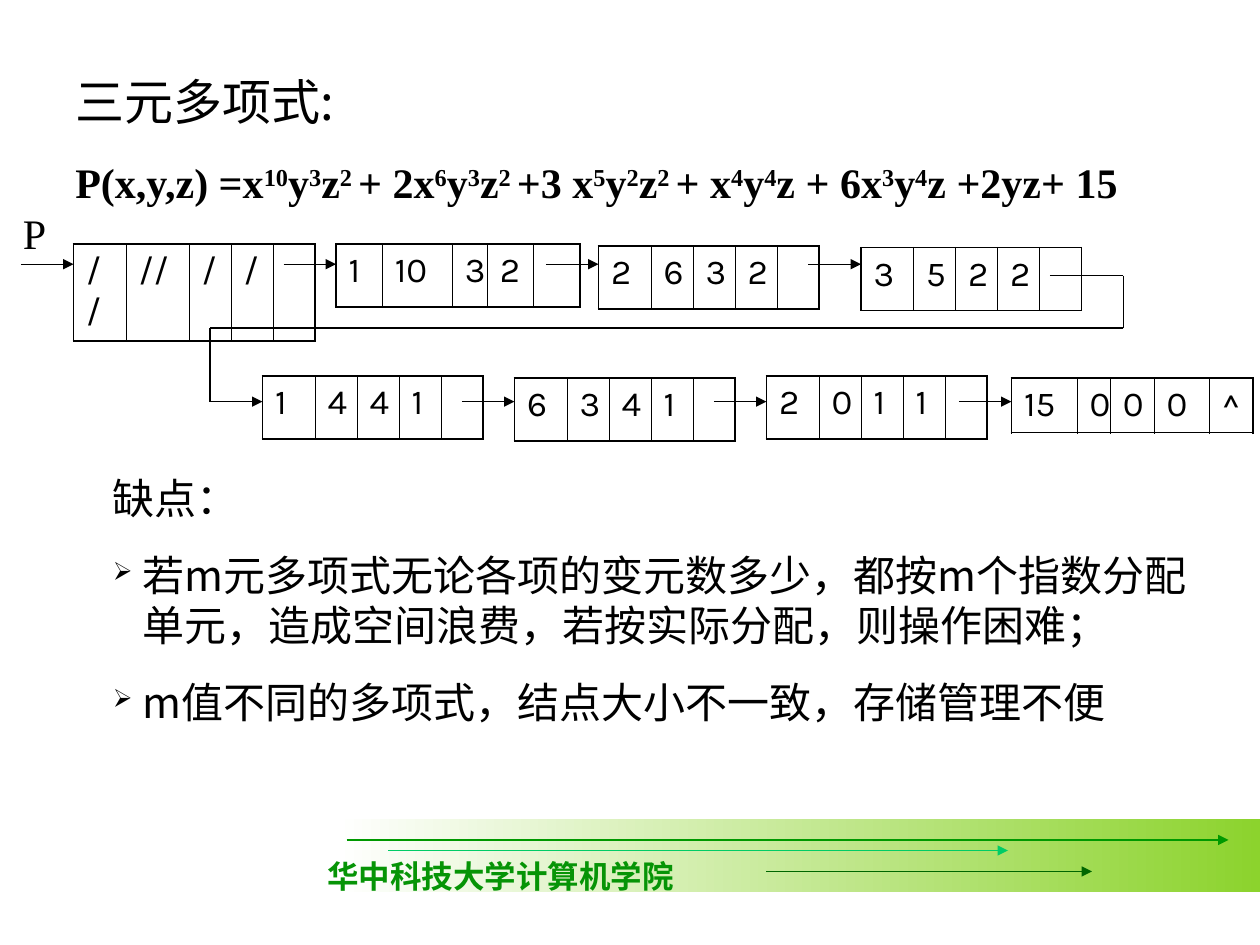
"""Build the slide on linked storage of a polynomial in three variables."""
from itertools import pairwise

from lxml.etree import SubElement
from pptx import Presentation
from pptx.dml.color import RGBColor
from pptx.enum.shapes import MSO_CONNECTOR, MSO_SHAPE
from pptx.oxml.ns import qn
from pptx.util import Pt

BLACK = "000000"
CJK = "Noto Sans CJK SC"
SERIF = "Times New Roman"

HEADING = "三元多项式:"
FORMULA = ("P(x,y,z) =x^10^y^3^z^2 ^+ 2x^6^y^3^z^2 ^+3 x^5^y^2^z^2 ^"
           "+ x^4^y^4^z + 6x^3^y^4^z +2yz+ 15")
DRAWBACK_HEADING = "缺点："
DRAWBACKS = [
    "若m元多项式无论各项的变元数多少，都按m个指数分配单元，造成空间浪费，若按实际分配，则操作困难；",
    "m值不同的多项式，结点大小不一致，存储管理不便",
]
SCHOOL = "华中科技大学计算机学院"

TERM_WIDTHS = [30, 24, 24, 24, 24]
TERMS = [
    (42, 139.5, 36, [30, 36, 24, 24, 24], ["//", "//", "/", "/", ""]),
    (192, 139.5, 36, [26.5, 40, 20, 26.5, 26.5], ["1", "10", "3", "2", ""]),
    (342, 140.5, 36, TERM_WIDTHS, ["2", "6", "3", "2", ""]),
    (492, 141.5, 36, TERM_WIDTHS, ["3", "5", "2", "2", ""]),
    (150, 215, 36, TERM_WIDTHS, ["1", "4", "4", "1", ""]),
    (294, 216, 36, TERM_WIDTHS, ["6", "3", "4", "1", ""]),
    (438, 215, 36, TERM_WIDTHS, ["2", "0", "1", "1", ""]),
    (578, 216, 31, [37.5, 19, 25, 31.5, 25], ["15", "0", "0", "0", "^"]),
]
LINK_LENGTH = 30
LINK_ROWS = [(151, TERMS[:4]), (229.5, TERMS[4:])]
RETURN_PATH = [(600, 157.5), (642, 157.5), (642, 187.5), (120, 187.5), (120, 229.5)]
SPECK = (636, 181.5)
FOOTER_ARROWS = [
    (198, 702, 480, "009900"),
    (222, 576, 486, "00CC66"),
    (438, 624, 498, "006600"),
]


def color(value):
    return RGBColor.from_string(value)


def apply(target, values):
    for name, value in values.items():
        setattr(target, name, value)


def add_run(paragraph, text, size, font, ink=BLACK, bold=False, raised=False):
    run = paragraph.add_run()
    run.text = text
    apply(run.font, {"size": Pt(size), "name": font, "bold": bold})
    run.font.color.rgb = color(ink)
    properties = run._r.get_or_add_rPr()
    SubElement(properties, qn("a:ea"), typeface=CJK)
    if raised:
        properties.set("baseline", "30000")


def add_textbox(slide, left, top, width, height, wrap=True):
    frame = slide.shapes.add_textbox(Pt(left), Pt(top), Pt(width), Pt(height)).text_frame
    frame.word_wrap = wrap
    return frame


def add_spaced_paragraph(frame):
    paragraph = frame.add_paragraph()
    paragraph.space_before = Pt(15)
    return paragraph


def add_line(slide, start, end, ink=BLACK, arrow=True):
    line = slide.shapes.add_connector(
        MSO_CONNECTOR.STRAIGHT, *(Pt(value) for value in (*start, *end)))
    line.line.width = Pt(0.75)
    line.line.color.rgb = color(ink)
    outline = line._element.spPr.find(qn("a:ln"))
    if arrow:
        SubElement(outline, qn("a:tailEnd"), type="triangle")
    SubElement(line._element.spPr, qn("a:effectLst"))


def add_border(cell, side, width):
    border = SubElement(cell._tc.get_or_add_tcPr(), qn(f"a:ln{side}"), w=str(Pt(width)))
    fill = SubElement(border, qn("a:solidFill"))
    SubElement(fill, qn("a:srgbClr"), val=BLACK)


def add_term(slide, left, top, height, widths, values):
    table = slide.shapes.add_table(
        1, len(values), Pt(left), Pt(top), Pt(sum(widths)), Pt(height)).table
    apply(table, {"first_row": False, "horz_banding": False})
    table.rows[0].height = Pt(height)
    last = len(values) - 1
    for index, (width, value) in enumerate(zip(widths, values)):
        table.columns[index].width = Pt(width)
        cell = table.cell(0, index)
        borders = {"L": 0.45 if index else 1.08, "R": 0.45 if index < last else 1.08,
                   "T": 1.08, "B": 1.08}
        for side, thickness in borders.items():
            add_border(cell, side, thickness)
        cell.fill.background()
        if value:
            add_run(cell.text_frame.paragraphs[0], value, 20, "Karla")


def add_footer(slide):
    band = slide.shapes.add_shape(MSO_SHAPE.RECTANGLE, Pt(192), Pt(468), Pt(528), Pt(42))
    band.shadow.inherit = False
    band.line.fill.background()
    band.fill.gradient()
    band.fill.gradient_angle = 0
    for stop, position, tint in zip(band.fill.gradient_stops, (0, 1), ("FFFFFF", "8CD32D")):
        stop.position = position
        stop.color.rgb = color(tint)
    for start, end, y, ink in FOOTER_ARROWS:
        add_line(slide, (start, y), (end, y), ink)
    school = add_textbox(slide, 180, 486, 212.5, 29, wrap=False)
    add_run(school.paragraphs[0], SCHOOL, 18, SERIF, "069406", bold=True)


def add_polynomial(slide):
    polynomial = add_textbox(slide, 36, 37.5, 642, 88.5)
    add_run(polynomial.paragraphs[0], HEADING, 28, CJK)
    formula = add_spaced_paragraph(polynomial)
    for index, part in enumerate(FORMULA.split("^")):
        add_run(formula, part, 24, SERIF, bold=True, raised=index % 2 == 1)


def add_linked_list(slide):
    pointer = add_textbox(slide, 6, 115, 48, 36)
    add_run(pointer.paragraphs[0], "P", 24, SERIF)
    for term in TERMS:
        add_term(slide, *term)
    for y, terms in LINK_ROWS:
        for left, *_ in terms:
            add_line(slide, (left - LINK_LENGTH, y), (left, y))
    for start, end in [*pairwise(RETURN_PATH), (SPECK, SPECK)]:
        add_line(slide, start, end, arrow=False)


def add_drawbacks(slide):
    drawbacks = add_textbox(slide, 57.5, 266.5, 648, 196.5)
    add_run(drawbacks.paragraphs[0], DRAWBACK_HEADING, 24, CJK)
    for drawback in DRAWBACKS:
        paragraph = add_spaced_paragraph(drawbacks)
        properties = paragraph._p.get_or_add_pPr()
        for name, value in {"marL": Pt(17), "indent": -Pt(17)}.items():
            properties.set(name, str(value))
        bullet_color = SubElement(properties, qn("a:buClr"))
        SubElement(bullet_color, qn("a:srgbClr"), val=BLACK)
        SubElement(properties, qn("a:buSzPct"), val="60000")
        SubElement(properties, qn("a:buChar"), char="➢")
        add_run(paragraph, drawback, 24, CJK)


def main():
    deck = Presentation()
    apply(deck, {"slide_width": Pt(720), "slide_height": Pt(540)})
    slide = deck.slides.add_slide(deck.slide_layouts[6])
    for add_part in (add_footer, add_polynomial, add_linked_list, add_drawbacks):
        add_part(slide)
    deck.save("out.pptx")


if __name__ == "__main__":
    main()
